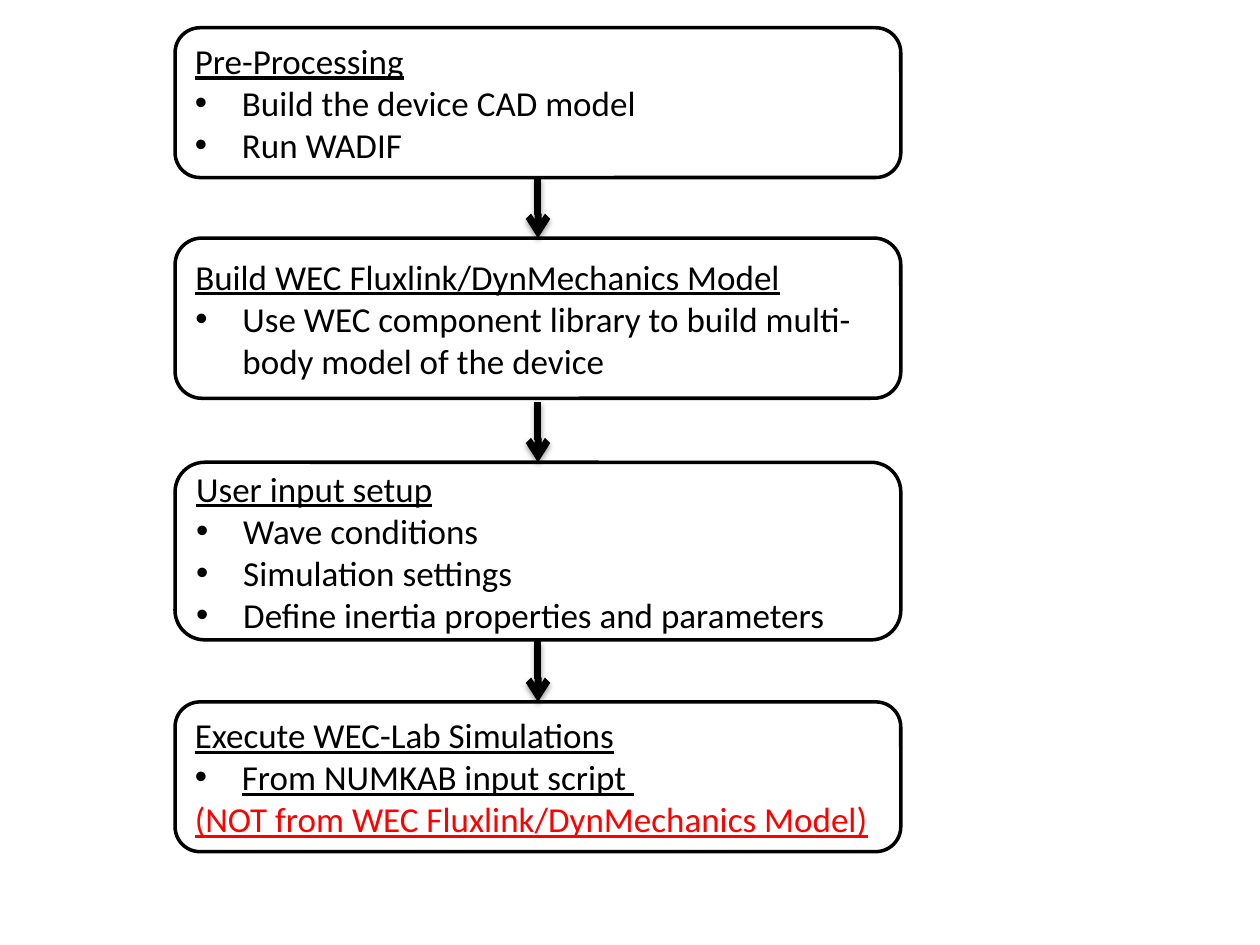
import pptx
import pptx.dml.color
import pptx.enum.shapes
import pptx.enum.text
import pptx.oxml
import pptx.oxml.ns
import pptx.util
from pptx.util import Cm

COLORS = {"ink": "000000", "warning": "FF0000"}

# Each step: top and height in cm, then lines of (text, format)
HEADING = {"underline": True}
BULLET = {"bullet": True}
STEPS = [
    (0.56, 3.02, [
        ("Pre-Processing", HEADING),
        ("Build the device CAD model", BULLET),
        ("Run WADIF", BULLET),
    ]),
    (4.80, 3.23, [
        ("Build WEC Fluxlink/DynMechanics Model", HEADING),
        ("Use WEC component library to build multi-body model of the device", BULLET),
    ]),
    (9.32, 3.58, [
        ("User input setup", HEADING),
        ("Wave conditions", BULLET),
        ("Simulation settings", BULLET),
        ("Define inertia properties and parameters", BULLET),
    ]),
    (14.15, 3.02, [
        ("Execute WEC-Lab Simulations", HEADING),
        ("From NUMKAB input script ", {"bullet": True, "underline": True}),
        ("(NOT from WEC Fluxlink/DynMechanics Model)",
         {"underline": True, "color": "warning"}),
    ]),
]
BOX_LEFT, BOX_WIDTH = 3.53, 14.63
ARROW_LENGTH = 1.22
BULLET_INDENT = Cm(0.95)
FONT = {"name": "Calibri", "size": pptx.util.Pt(20)}

ARROW_EFFECTS = (
    f'<a:effectLst {pptx.oxml.ns.nsdecls("a")}>'
    '<a:outerShdw blurRad="40000" dist="20000" dir="5400000" rotWithShape="0">'
    f'<a:srgbClr val="{COLORS["ink"]}"><a:alpha val="38000"/></a:srgbClr>'
    "</a:outerShdw></a:effectLst>"
)


def rgb(name):
    return pptx.dml.color.RGBColor.from_string(COLORS[name])


def set_attributes(target, values):
    for name, value in values.items():
        setattr(target, name, value)


def set_line(shape, points):
    shape.line.color.rgb = rgb("ink")
    shape.line.width = pptx.util.Pt(points)


def add_bullet(paragraph):
    properties = paragraph._p.get_or_add_pPr()
    properties.set("marL", str(BULLET_INDENT))
    properties.set("indent", str(-BULLET_INDENT))
    for xml in ('<a:buFont {} typeface="Arial"/>', '<a:buChar {} char="•"/>'):
        properties.append(pptx.oxml.parse_xml(xml.format(pptx.oxml.ns.nsdecls("a"))))


def add_step(slide, top, height, lines):
    box = slide.shapes.add_shape(
        pptx.enum.shapes.MSO_SHAPE.ROUNDED_RECTANGLE,
        Cm(BOX_LEFT), Cm(top), Cm(BOX_WIDTH), Cm(height))
    box.shadow.inherit = False
    box.fill.background()
    set_line(box, 2)
    frame = box.text_frame
    set_attributes(frame, {
        "word_wrap": True,
        "vertical_anchor": pptx.enum.text.MSO_ANCHOR.MIDDLE,
    })
    for index, (text, style) in enumerate(lines):
        paragraph = frame.add_paragraph() if index else frame.paragraphs[0]
        paragraph.alignment = pptx.enum.text.PP_ALIGN.LEFT
        if style.get("bullet"):
            add_bullet(paragraph)
        run = paragraph.add_run()
        run.text = text
        set_attributes(run.font, {**FONT, "underline": style.get("underline", False)})
        run.font.color.rgb = rgb(style.get("color", "ink"))


def add_arrow_to(slide, top):
    """Draw the arrow that ends at the top of a step."""
    center = Cm(BOX_LEFT + BOX_WIDTH / 2)
    arrow = slide.shapes.add_connector(
        pptx.enum.shapes.MSO_CONNECTOR.STRAIGHT,
        center, Cm(top - ARROW_LENGTH), center, Cm(top))
    set_line(arrow, 4)
    arrow.line._get_or_add_ln().append(pptx.oxml.parse_xml(
        f'<a:tailEnd {pptx.oxml.ns.nsdecls("a")} type="arrow"/>'))
    arrow._element.spPr.append(pptx.oxml.parse_xml(ARROW_EFFECTS))


def main():
    presentation = pptx.Presentation()
    set_attributes(presentation, {"slide_width": Cm(25.4), "slide_height": Cm(19.05)})
    slide = presentation.slides.add_slide(presentation.slide_layouts[6])
    for step in STEPS:
        add_step(slide, *step)
    for top, _, _ in STEPS[1:]:
        add_arrow_to(slide, top)
    presentation.save("out.pptx")


if __name__ == "__main__":
    main()
